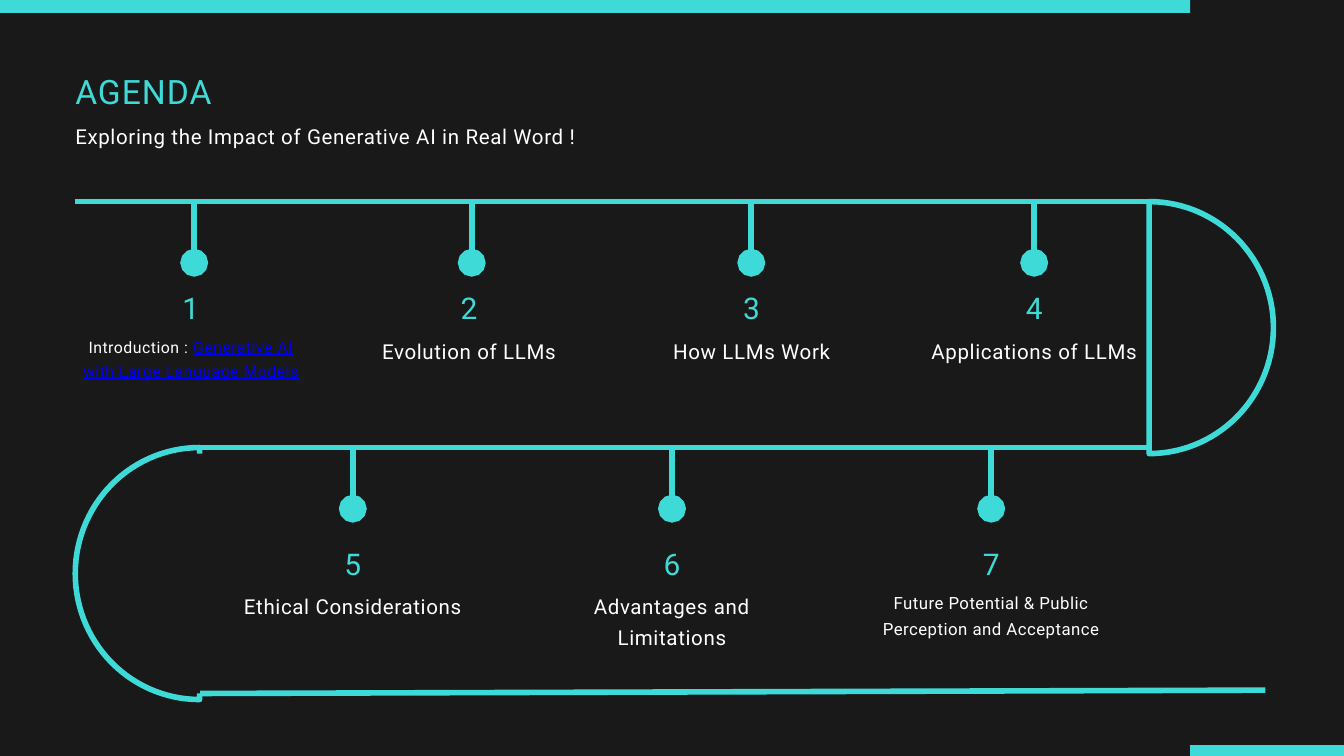
from dataclasses import dataclass
from math import cos, pi, sin

from lxml import etree
from pptx import Presentation
from pptx.dml.color import RGBColor
from pptx.enum import shapes, text
from pptx.oxml import ns
from pptx.util import Inches, Pt


@dataclass(frozen=True)
class Theme:
    dark: RGBColor = RGBColor(0x19, 0x19, 0x19)
    teal: RGBColor = RGBColor(0x3E, 0xDA, 0xD8)
    white: RGBColor = RGBColor(0xFF, 0xFF, 0xFF)
    blue: RGBColor = RGBColor(0x00, 0x00, 0xFF)
    font: str = "Roboto"
    line: float = 6
    # Type styles: size, line spacing, letter spacing
    title: tuple = (36, 46.8, 1.1)
    number: tuple = (32, 41.6, 1.6)
    body: tuple = (22, 33, 0.7)
    small: tuple = (18, 27, 0.5)
    tiny: tuple = (17, 25.5, 0.5)


THEME = Theme()


def add_text(slide, box, words, style, color, align=text.PP_ALIGN.LEFT, link=""):
    size, lead, gap = style
    frame = slide.shapes.add_textbox(*map(Inches, box)).text_frame
    frame.margin_left = frame.margin_right = 0
    frame.margin_top = frame.margin_bottom = 0
    frame.word_wrap = True
    frame.auto_size = text.MSO_AUTO_SIZE.SHAPE_TO_FIT_TEXT
    para = frame.paragraphs[0]
    para.text = words
    para.alignment = align
    para.line_spacing = Pt(lead)
    if link:
        para.add_run().text = link
    for run in para.runs:
        run.font.name = THEME.font
        run.font.size = Pt(size)
        run.font.color.rgb = color
        run._r.get_or_add_rPr().set("spc", str(round(gap * 100)))
    if link:
        para.runs[-1].font.color.rgb = THEME.blue
        para.runs[-1].font.underline = True


def add_line(slide, start, end, dot=False):
    ends = map(Inches, (*start, *end))
    line = slide.shapes.add_connector(shapes.MSO_CONNECTOR.STRAIGHT, *ends)
    line.line.color.rgb = THEME.teal
    line.line.width = Pt(THEME.line)
    props = line._element.spPr
    if dot:
        tail = etree.SubElement(props.find(ns.qn("a:ln")), ns.qn("a:tailEnd"))
        for key, value in (("type", "oval"), ("w", "lg"), ("len", "lg")):
            tail.set(key, value)
    etree.SubElement(props, ns.qn("a:effectLst"))


def add_block(slide, box, color):
    block = slide.shapes.add_shape(shapes.MSO_SHAPE.RECTANGLE, *map(Inches, box))
    block.shadow.inherit = False
    block.fill.solid()
    block.fill.fore_color.rgb = color
    block.line.fill.background()


def add_bend(slide, box, side):
    """Half ellipse filling the box; side is 1 for right, -1 for left."""
    left, top, width, height = box
    flat = left if side > 0 else left + width
    points = []
    for step in range(61):
        turn = pi * step / 60
        x = flat + side * width * sin(turn)
        y = top + height / 2 * (1 - cos(turn))
        points.append((Inches(x), Inches(y)))
    path = slide.shapes.build_freeform(*points[0])
    path.add_line_segments(points[1:], close=True)
    bend = path.convert_to_shape()
    bend.shadow.inherit = False
    bend.fill.background()
    bend.line.color.rgb = THEME.teal
    bend.line.width = Pt(THEME.line)


def add_track(slide, left, top, right):
    """Winding road: three runs joined by two bends."""
    drop, wide, tall = 3.66, 1.85, 3.75
    inner = left + wide + 0.01
    middle, base = top + drop, top + 2 * drop
    add_bend(slide, (right, top, wide, tall), 1)
    add_line(slide, (left, top), (right, top))
    add_bend(slide, (left, middle, wide, tall), -1)
    # Opens the flat side of the left bend
    add_block(slide, (inner - 0.09, middle + 0.09, 1.25, 3.57), THEME.dark)
    add_line(slide, (inner, base), (18.83, base - 0.05))
    add_line(slide, (inner, middle), (right, middle))


def add_stop(slide, box, pin, number, label, style, link=""):
    """Pin from the road, with a number and a label below it."""
    left, top, width, gap = box
    add_line(slide, (pin, top), (pin, top + 0.91), dot=True)
    center = text.PP_ALIGN.CENTER
    y = top + gap
    add_text(slide, (left, y, width, 0.55), str(number), THEME.number,
             THEME.teal, center)
    add_text(slide, (left, y + 0.68, width, 0.4), label, style,
             THEME.white, center, link)


def add_head(slide, left, top, width):
    add_text(slide, (left, top, width, 0.63), "AGENDA", THEME.title, THEME.teal)
    add_text(slide, (left, top + 0.76, width, 0.4),
             "Exploring the Impact of Generative AI in Real Word !",
             THEME.body, THEME.white)


def main():
    deck = Presentation()
    deck.slide_width, deck.slide_height = Inches(20), Inches(11.25)
    slide = deck.slides.add_slide(deck.slide_layouts[6])
    slide.background.fill.solid()
    slide.background.fill.fore_color.rgb = THEME.dark

    add_track(slide, 1.12, 3, 17.1)

    # Edge bars
    split = 17.71
    add_block(slide, (0, 0, split, 0.19), THEME.teal)
    add_block(slide, (split, 11.09, 20 - split, 0.16), THEME.teal)

    # Upper stops: text left, text width, pin, label, style, link
    upper = [
        (1.12, 3.44, 2.89, "Introduction : ", THEME.tiny,
         "Generative AI with Large Language Models"),
        (5.26, 3.44, 7.02, "Evolution of LLMs", THEME.body, ""),
        (9.39, 3.59, 11.18, "How LLMs Work", THEME.body, ""),
        (13.67, 3.44, 15.39, "Applications of LLMs", THEME.body, ""),
    ]
    for number, (left, width, pin, label, style, link) in enumerate(upper, 1):
        add_stop(slide, (left, 3, width, 1.27), pin, number, label, style, link)

    # Lower stops, evenly spaced
    lower = [
        ("Ethical Considerations", THEME.body),
        ("Advantages and Limitations", THEME.body),
        ("Future Potential & Public Perception and Acceptance", THEME.small),
    ]
    for index, (label, style) in enumerate(lower):
        pin = 5.25 + 4.75 * index
        add_stop(slide, (pin - 1.72, 6.66, 3.44, 1.41), pin, index + 5, label, style)

    add_head(slide, 1.12, 1, 13.39)
    deck.save("out.pptx")


if __name__ == "__main__":
    main()
